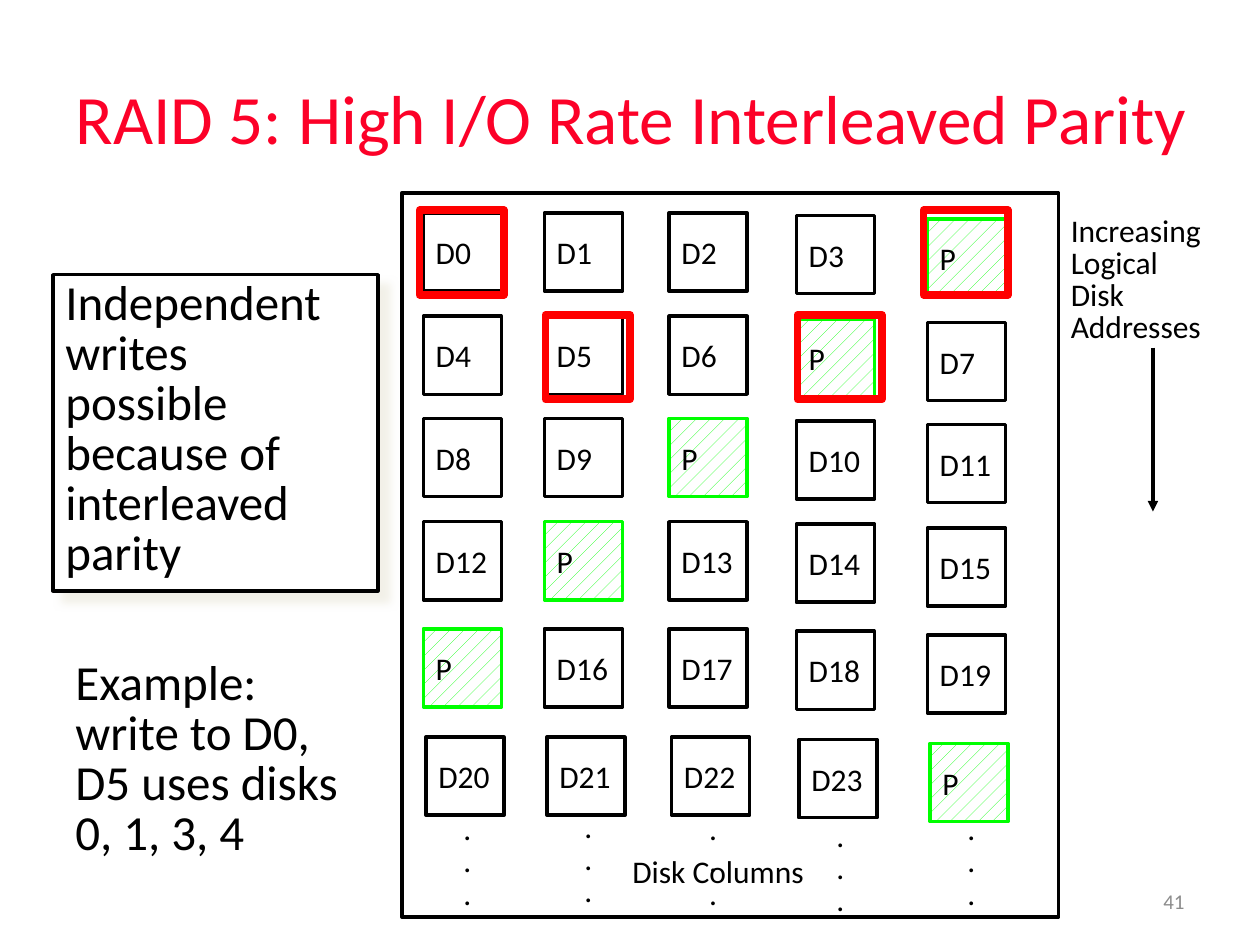
from lxml import etree
from pptx import Presentation
from pptx.dml.color import RGBColor
from pptx.enum.dml import MSO_PATTERN
from pptx.enum.shapes import MSO_CONNECTOR, MSO_SHAPE
from pptx.enum.text import MSO_ANCHOR, MSO_AUTO_SIZE, PP_ALIGN
from pptx.oxml import parse_xml
from pptx.oxml.ns import nsdecls, qn
from pptx.util import Inches, Pt

COLORS = {
    "title": "FC0128",
    "ink": "000000",
    "paper": "FFFFFF",
    "parity": "00FF00",
    "highlight": "FF0000",
    "number": "8C8C8C",
    "shadow": "EEECE1",
}
FONT = "Calibri"

DISK_LEFTS = [3.36, 4.32, 5.31, 6.32, 7.36]
DISK_DROPS = [0, 0, 0, 0.02, 0.05]
DOT_TOPS = [6.42, 6.4, 6.42, 6.47, 6.42]
STRIPE_TOPS = [1.69, 2.51, 3.32, 4.14, 4.99, 5.85]
LAST_STRIPE_SHIFT = 0.02
BLOCK_SIZE = 0.62
HIGHLIGHT_SIZE = 0.67
HIGHLIGHTS = [(3.33, 1.67), (7.33, 1.67), (4.33, 2.5), (6.33, 2.5)]


def color(name):
    return RGBColor.from_string(COLORS[name])


def write(shape, lines, size, ink="ink", align=PP_ALIGN.LEFT,
          anchor=MSO_ANCHOR.TOP, wrap=True, spacing=None, grow=False):
    frame = shape.text_frame
    frame.text = "\n".join(lines)
    frame.word_wrap = wrap
    frame.vertical_anchor = anchor
    if grow:
        frame.auto_size = MSO_AUTO_SIZE.SHAPE_TO_FIT_TEXT
    for para in frame.paragraphs:
        para.alignment = align
        if spacing:
            para.line_spacing = spacing
        for span in para.runs:
            span.font.name = FONT
            span.font.size = Pt(size)
            span.font.color.rgb = color(ink)


def add_text(page, left, top, width, height, lines, size, **style):
    box = page.shapes.add_textbox(Inches(left), Inches(top), Inches(width), Inches(height))
    write(box, lines, size, **style)


def add_label(page, left, top, width, height, lines, size=18, wrap=False):
    """Add a tightly spaced text box that grows with its text."""
    add_text(page, left, top, width, height, lines, size,
             wrap=wrap, spacing=0.85, grow=True)


def add_box(page, left, top, width, height, line="ink", weight=2):
    box = page.shapes.add_shape(MSO_SHAPE.RECTANGLE, Inches(left), Inches(top),
                                Inches(width), Inches(height))
    box.shadow.inherit = False
    box.fill.background()
    box.line.color.rgb = color(line)
    box.line.width = Pt(weight)
    return box


def add_block(page, left, top, label):
    is_parity = label == "P"
    block = add_box(page, left, top, BLOCK_SIZE, BLOCK_SIZE,
                    line="parity" if is_parity else "ink")
    if is_parity:
        block.fill.patterned()
        block.fill.pattern = MSO_PATTERN.PERCENT_10
        block.fill.fore_color.rgb = color("parity")
        block.fill.back_color.rgb = color("paper")
    write(block, [label], 18, anchor=MSO_ANCHOR.MIDDLE, wrap=False)


def add_disk_array(page):
    """Number the blocks row by row; parity moves one disk left per stripe."""
    last_disk = len(DISK_LEFTS) - 1
    number = 0
    for stripe, top in enumerate(STRIPE_TOPS):
        shift = LAST_STRIPE_SHIFT if top == STRIPE_TOPS[-1] else 0
        parity_disk = last_disk - stripe % len(DISK_LEFTS)
        for disk, (left, drop) in enumerate(zip(DISK_LEFTS, DISK_DROPS)):
            if disk == parity_disk:
                label = "P"
            else:
                label = f"D{number}"
                number += 1
            add_block(page, left + shift, top + drop, label)
    for left, top in zip(DISK_LEFTS, DOT_TOPS):
        add_label(page, left + 0.22, top, 0.27, 0.88, ["."] * 3)


def add_callout(page):
    box = add_box(page, 0.42, 2.18, 2.58, 2.51)
    box.fill.solid()
    box.fill.fore_color.rgb = color("paper")
    effects = box._element.spPr.find(qn("a:effectLst"))
    effects.append(parse_xml(
        f'<a:outerShdw {nsdecls("a")} blurRad="{Pt(5)}" dist="{Pt(8.5)}" dir="2700000" '
        f'algn="tl" rotWithShape="0"><a:srgbClr val="{COLORS["shadow"]}">'
        '<a:alpha val="75000"/></a:srgbClr></a:outerShdw>'))
    write(box, ["Independent writes", "possible because of", "interleaved parity"],
          28, spacing=0.85, grow=True)


def add_arrow(page, x, top, bottom):
    arrow = page.shapes.add_connector(MSO_CONNECTOR.STRAIGHT, Inches(x), Inches(top),
                                      Inches(x), Inches(bottom))
    arrow.line.color.rgb = color("ink")
    arrow.line.width = Pt(2)
    etree.SubElement(arrow.line._get_or_add_ln(), qn("a:tailEnd"), type="triangle")
    etree.SubElement(arrow._element.spPr, qn("a:effectLst"))


def main():
    deck = Presentation()
    deck.slide_width, deck.slide_height = Inches(10), Inches(7.5)
    page = deck.slides.add_slide(deck.slide_layouts[6])

    add_text(page, 0.26, 0.3, 9.5, 1.25, ["RAID 5: High I/O Rate Interleaved Parity"],
             39.6, ink="title", align=PP_ALIGN.CENTER, anchor=MSO_ANCHOR.MIDDLE)
    add_text(page, 7.17, 6.95, 2.33, 0.4, ["41"], 12, ink="number",
             align=PP_ALIGN.RIGHT, anchor=MSO_ANCHOR.MIDDLE)
    add_callout(page)
    add_box(page, 3.19, 1.53, 5.21, 5.75)
    add_disk_array(page)
    add_label(page, 4.92, 6.76, 1.61, 0.36, ["Disk Columns"])
    add_label(page, 8.4, 1.67, 1.27, 1.14, ["Increasing", "Logical", "Disk", "Addresses"])
    add_arrow(page, 9.15, 2.76, 4.06)
    for left, top in HIGHLIGHTS:
        add_box(page, left, top, HIGHLIGHT_SIZE, HIGHLIGHT_SIZE, "highlight", 4.5)
    add_label(page, 0.5, 5.19, 2.42, 1.71,
              ["Example: write to D0, D5 uses disks 0, 1, 3, 4"], 28, wrap=True)

    deck.save("out.pptx")


if __name__ == "__main__":
    main()
